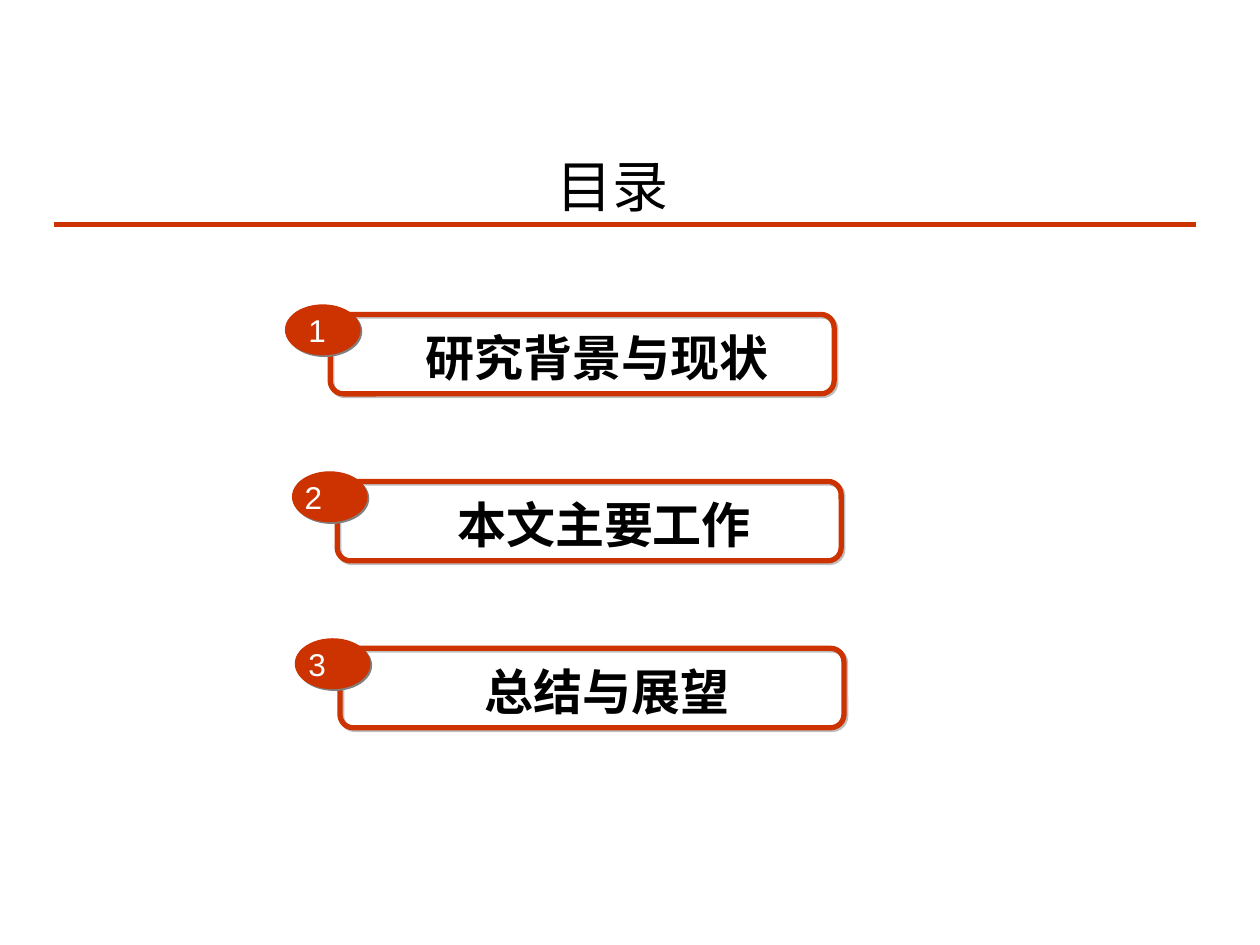
from lxml.etree import SubElement
from pptx import Presentation
from pptx.dml.color import RGBColor
from pptx.enum.shapes import MSO_CONNECTOR, MSO_SHAPE
from pptx.enum.text import MSO_AUTO_SIZE, PP_ALIGN
from pptx.oxml.ns import qn
from pptx.util import Pt

RED = RGBColor(0xCC, 0x33, 0x00)
BLACK = RGBColor(0, 0, 0)
WHITE = RGBColor(0xFF, 0xFF, 0xFF)
SHADOW_GREY = RGBColor(0x80, 0x80, 0x80)

FIRST_TOP, ROW_STEP = 174.3, 95.4
# heading, left edge of the badge, left edge of its number
SECTIONS = [
    ("研究背景与现状", 163.2, 169.2),
    ("本文主要工作", 167.2, 167),
    ("总结与展望", 168.8, 169.2),
]


def add_text(shapes, text, left, top, width, height, size, color,
             align=PP_ALIGN.CENTER, bold=False, wrap=False):
    box = shapes.add_textbox(Pt(left), Pt(top), Pt(width), Pt(height))
    frame = box.text_frame
    frame.text = text
    frame.word_wrap = wrap
    frame.auto_size = MSO_AUTO_SIZE.SHAPE_TO_FIT_TEXT
    paragraph = frame.paragraphs[0]
    paragraph.alignment = align
    font = paragraph.runs[0].font
    font.name, font.size, font.bold = "Arial", Pt(size), bold
    font.color.rgb = color


def add_outlined(shapes, kind, left, top, width, height, line_width, shadow_opacity):
    """Add a red-outlined shape with a hard grey shadow to the lower right."""
    shape = shapes.add_shape(kind, Pt(left), Pt(top), Pt(width), Pt(height))
    shape.line.color.rgb = RED
    shape.line.width = Pt(line_width)
    shape.shadow.inherit = False
    effects = shape._element.spPr.find(qn("a:effectLst"))
    shadow = SubElement(effects, qn("a:outerShdw"), blurRad="0", dist=str(Pt(1.4)),
                        dir=str(45 * 60000), algn="ctr", rotWithShape="0")
    grey = SubElement(shadow, qn("a:srgbClr"), val=str(SHADOW_GREY))
    SubElement(grey, qn("a:alpha"), val=str(shadow_opacity * 1000))
    return shape


prs = Presentation()
prs.slide_width, prs.slide_height = Pt(720), Pt(540)
slide = prs.slides.add_slide(prs.slide_layouts[6])

add_text(slide.shapes, "目录", 311, 82.8, 78.5, 46, 32, BLACK)

title_rule = slide.shapes.add_connector(
    MSO_CONNECTOR.STRAIGHT, Pt(31), Pt(128.2), Pt(683.3), Pt(128.2))
title_rule.line.color.rgb = RED
title_rule.line.width = Pt(3)
SubElement(title_rule._element.spPr, qn("a:effectLst"))

for index, (heading, badge_left, number_left) in enumerate(SECTIONS):
    top = FIRST_TOP + index * ROW_STEP
    section = slide.shapes.add_group_shape().shapes

    add_text(section, heading, badge_left + 34, top + 9.4, 288, 41, 28, BLACK,
             bold=True, wrap=True)
    border = add_outlined(section, MSO_SHAPE.ROUNDED_RECTANGLE,
                          badge_left + 25.5, top + 5.4, 288, 45.4, 3, 50)
    border.fill.background()
    badge = add_outlined(section, MSO_SHAPE.OVAL, badge_left, top, 42.5, 28.4, 0.75, 100)
    badge.fill.solid()
    badge.fill.fore_color.rgb = RED
    add_text(section, str(index + 1), number_left, top, 24.5, 29, 18, WHITE,
             align=PP_ALIGN.LEFT)

prs.save("out.pptx")
